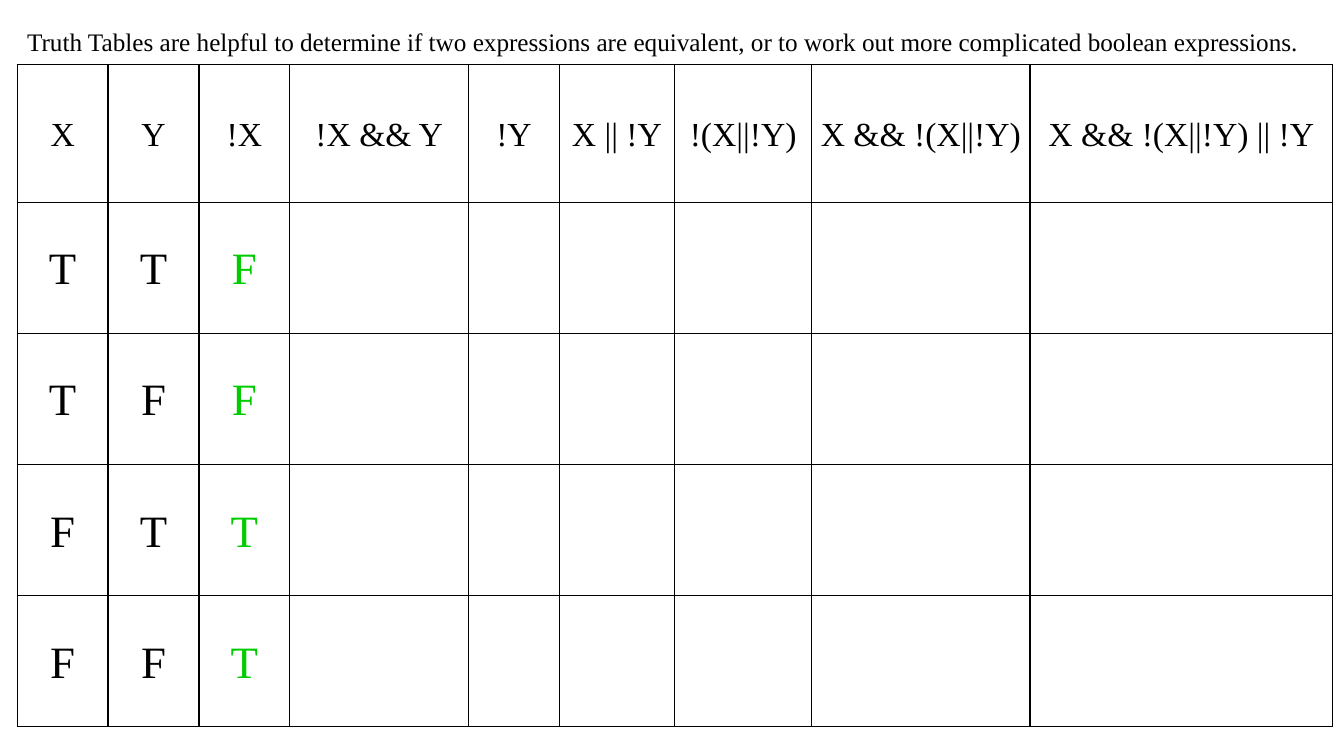
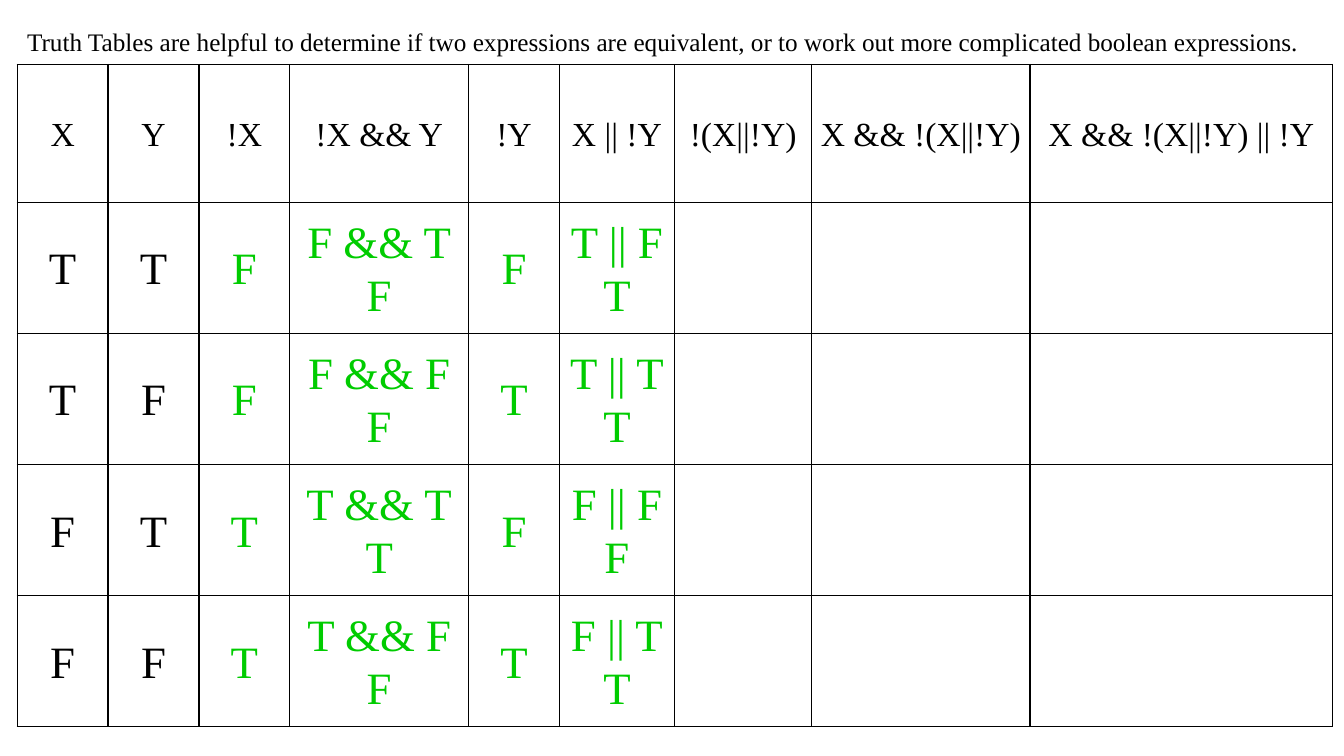
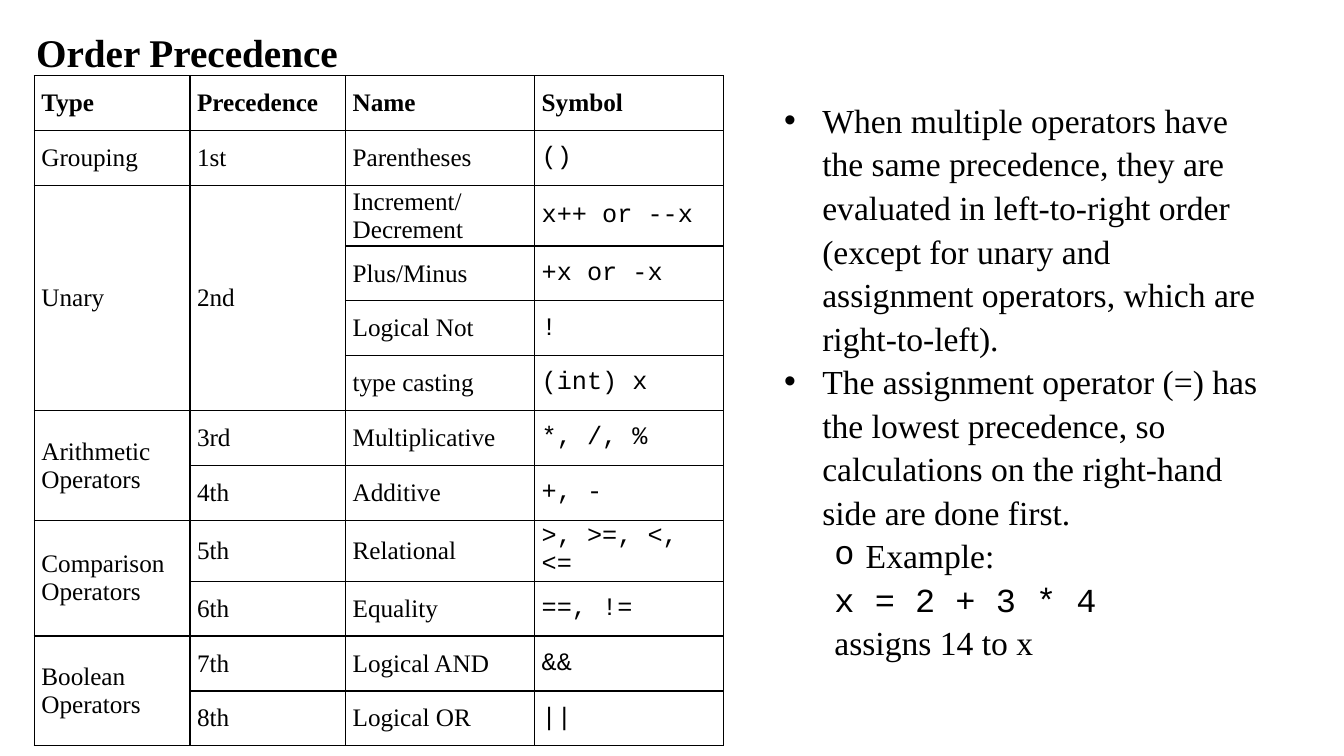
"""Build three slides on truth tables and operator precedence."""
import itertools

import lxml.etree
import pptx
import pptx.dml.color
import pptx.enum.text
import pptx.oxml.ns
import pptx.util

COLORS = {"ink": "000000", "answer": "00CC00"}
SERIF, MONO = "Times New Roman", "Courier New"
WIDTH, HEIGHT = pptx.util.Inches(13.333), pptx.util.Inches(7.5)
CENTER = pptx.enum.text.PP_ALIGN.CENTER
LOOSE = 1.07

INTRO = ("Truth Tables are helpful to determine if two expressions are equivalent, "
         "or to work out more complicated boolean expressions.")
EXPRESSIONS = ["X", "Y", "!X", "!X && Y", "!Y", "X || !Y", "!(X||!Y)",
               "X && !(X||!Y)", "X && !(X||!Y) || !Y"]
EXPRESSION_COLUMNS = [0.9, 0.9, 0.9, 1.77, 0.9, 1.14, 1.36, 2.16, 3]
TRUTH_ROWS = [1.37, 1.3, 1.3, 1.3, 1.3]

OPERATORS = [
    ("Type", "Precedence", "Name", "Symbol"),
    ("Grouping", "1st", "Parentheses", "()"),
    ("Unary", "2nd", "Increment/\nDecrement", "x++ or --x"),
    ("", "", "Plus/Minus", "+x or -x"),
    ("", "", "Logical Not", "!"),
    ("", "", "type casting", "(int) x"),
    ("Arithmetic Operators", "3rd", "Multiplicative", "*, /, %"),
    ("", "4th", "Additive", "+, -"),
    ("Comparison Operators", "5th", "Relational", ">, >=, <, <="),
    ("", "6th", "Equality", "==, !="),
    ("Boolean Operators", "7th", "Logical AND", "&&"),
    ("", "8th", "Logical OR", "||"),
]
OPERATOR_COLUMNS = [1.54, 1.54, 1.87, 1.87]
TALL_ROWS = (2, 8)
SPANS = [(0, 2, 5), (1, 2, 5), (0, 6, 7), (0, 8, 9), (0, 10, 11)]

RULES = [
    "When multiple operators have the same precedence, they are evaluated in "
    "left-to-right order (except for unary and assignment operators, which are right-to-left).",
    "The assignment operator (=) has the lowest precedence, so calculations on the "
    "right-hand side are done first.",
]


def across(percent):
    """Return a share of the slide's width."""
    return round(WIDTH * percent / 100)


def down(percent):
    """Return a share of the slide's height."""
    return round(HEIGHT * percent / 100)


def place(left, top, width, height):
    """Turn percentages of the slide into a position and size."""
    return across(left), down(top), across(width), down(height)


def add_element(parent, tag, **attributes):
    """Append a DrawingML element and return it."""
    return lxml.etree.SubElement(parent, pptx.oxml.ns.qn(tag), attributes)


def write(frame, text, size=18, color="ink", font=SERIF, bold=False, align=None,
          spacing=None, level=0, margin=0, hang=0, bullet=None, bullet_font="Arial"):
    """Write each line of the text as a formatted paragraph."""
    for line in text.split("\n"):
        paragraph = frame.add_paragraph() if frame.text else frame.paragraphs[0]
        paragraph.level = level
        layout = paragraph._p.get_or_add_pPr()
        layout.set("marL", str(across(margin)))
        layout.set("indent", str(-across(hang)))
        if bullet:
            add_element(layout, "a:buFont", typeface=bullet_font)
            add_element(layout, "a:buChar", char=bullet)
        paragraph.alignment = align
        paragraph.line_spacing = spacing
        run = paragraph.add_run()
        run.text = line
        run.font.size = pptx.util.Pt(size)
        run.font.name = font
        run.font.bold = bold
        run.font.color.rgb = pptx.dml.color.RGBColor.from_string(COLORS[color])


def add_text_area(slide, box):
    """Add a wrapping text box and return its text frame."""
    frame = slide.shapes.add_textbox(*place(*box)).text_frame
    frame.word_wrap = True
    frame.auto_size = pptx.enum.text.MSO_AUTO_SIZE.SHAPE_TO_FIT_TEXT
    return frame


def style_cell(cell):
    """Give a cell thin black borders, no fill and narrow margins."""
    properties = cell._tc.get_or_add_tcPr()
    for side in ("a:lnL", "a:lnR", "a:lnT", "a:lnB"):
        border = add_element(properties, side, w=str(pptx.util.Pt(1)))
        add_element(add_element(border, "a:solidFill"), "a:srgbClr", val=COLORS["ink"])
    cell.fill.background()
    cell.vertical_anchor = pptx.enum.text.MSO_ANCHOR.MIDDLE
    cell.margin_left = cell.margin_right = across(0.53)
    cell.margin_top = cell.margin_bottom = 0


def add_grid(slide, box, columns, rows, contents, cell_format):
    """Add a bordered table whose columns and rows follow the given proportions."""
    left, top, width, height = place(*box)
    table = slide.shapes.add_table(len(rows), len(columns), left, top, width, height).table
    table.first_row = table.horz_banding = False
    for column, share in zip(table.columns, columns):
        column.width = round(width * share / sum(columns))
    for row, share in zip(table.rows, rows):
        row.height = round(height * share / sum(rows))
    for r, c in itertools.product(range(len(rows)), range(len(columns))):
        cell = table.cell(r, c)
        style_cell(cell)
        if c < len(contents[r]) and contents[r][c]:
            write(cell.text_frame, contents[r][c], **cell_format(r, c))
    return table


def truth_values(x, y):
    """Return the worked cells for one pair of inputs."""
    def mark(value):
        return "T" if value else "F"

    return [mark(x), mark(y), mark(not x),
            f"{mark(not x)} && {mark(y)}\n{mark(not x and y)}",
            mark(not y),
            f"{mark(x)} || {mark(not y)}\n{mark(x or not y)}"]


def truth_format(row, column):
    """Return the text format of a truth table cell."""
    return {"size": 32 if row else 24, "align": CENTER, "spacing": LOOSE,
            "color": "answer" if row and column > 1 else "ink"}


def operator_format(row, column):
    """Return the text format of a precedence table cell."""
    return {"bold": row == 0, "font": MONO if row and column == 3 else SERIF}


def add_truth_slide(slide, worked):
    """Show the truth table with the first worked columns filled in."""
    write(add_text_area(slide, (1.28, 2.53, 97.5, 5.47)), INTRO, spacing=LOOSE)
    answers = [truth_values(x, y)[:worked]
               for x, y in itertools.product((True, False), repeat=2)]
    add_grid(slide, (1.28, 8.53, 97.9, 87.6), EXPRESSION_COLUMNS, TRUTH_ROWS,
             [EXPRESSIONS] + answers, truth_format)


def add_precedence_slide(slide):
    """Show the operator table beside the evaluation rules."""
    notes = add_text_area(slide, (57.6, 12.13, 37.2, 71.33))
    body = {"size": 24, "spacing": 1.08}
    example = {**body, "level": 1, "margin": 3.75}
    for rule in RULES:
        write(notes, rule, margin=2.85, hang=2.85, bullet="•", **body)
    write(notes, "Example:", **{**example, "margin": 6.08},
          hang=2.33, bullet="o", bullet_font=MONO)
    write(notes, "x = 2 + 3 * 4", font=MONO, **example)
    write(notes, "assigns 14 to x", **example)
    rows = [0.6 if r in TALL_ROWS else 0.545 for r in range(len(OPERATORS))]
    table = add_grid(slide, (2.55, 10, 51.3, 88.67), OPERATOR_COLUMNS, rows,
                     OPERATORS, operator_format)
    for column, first, last in SPANS:
        table.cell(first, column).merge(table.cell(last, column))
    write(add_text_area(slide, (1.95, 0, 50, 9.6)), "Order Precedence",
          size=28, bold=True, spacing=1.5)


def main():
    """Build and save the presentation."""
    deck = pptx.Presentation()
    deck.slide_width, deck.slide_height = WIDTH, HEIGHT
    blank = deck.slide_layouts[6]
    for worked in (3, 6):
        add_truth_slide(deck.slides.add_slide(blank), worked)
    add_precedence_slide(deck.slides.add_slide(blank))
    deck.save("out.pptx")


if __name__ == "__main__":
    main()
